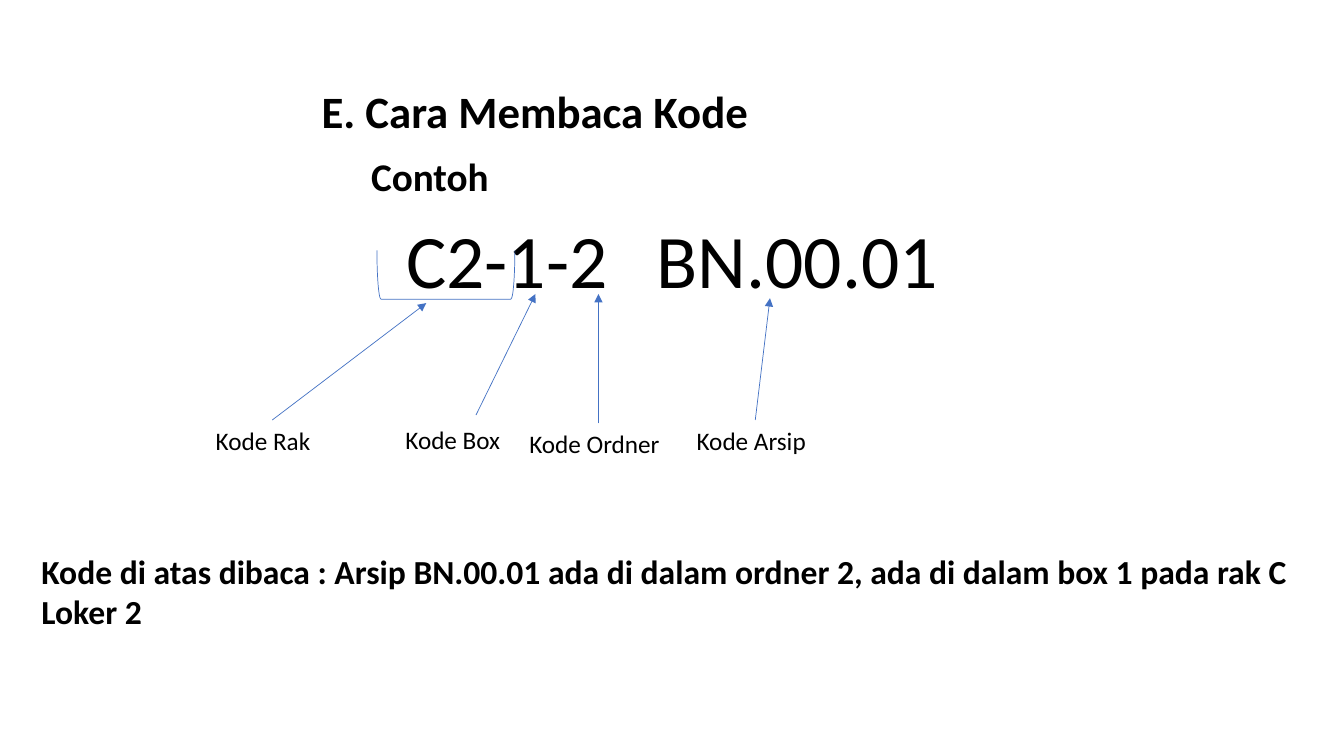
from pptx import Presentation
from pptx import util as u
from pptx.dml.color import RGBColor
from pptx.enum import shapes, text
from pptx.oxml.ns import qn
from lxml import etree

# Content: text, box (left, top, width, height), type role
TITLE = ("E. Cara Membaca Kode", (222.5, 56, 430, 46), "title")
PASSAGES = [
    ("Contoh", (258, 105, 191, 41), "subtitle"),
    ("Kode di atas dibaca : Arsip BN.00.01 ada di dalam ordner 2, "
     "ada di dalam box 1 pada rak C Loker 2", (22.5, 390, 914, 65.5), "reading"),
]
CODE = ("C2-1-2\tBN.00.01", (283, 148.5, 400, 73), "code")
CODE_TAB = 179
# Label, box, arrow start (None: middle of the label's top side), arrow tip
LABELS = [
    ("Kode Rak", (147, 300, 95, 29), None, (304.5, 216.5)),
    ("Kode Box", (282.5, 299.5, 82.5, 29), (340, 296.5), (382.5, 210)),
    ("Kode Ordner", (371, 302.5, 113, 29), None, (427.5, 210)),
    ("Kode Arsip", (490.5, 300, 98, 29), None, (550, 213)),
]
BRACKET = (301, 147, 35, 98.5)

THEME = {
    "font": "Calibri",
    "ink": RGBColor(0, 0, 0),
    "line": RGBColor(0x44, 0x72, 0xC4),
    "line_width": 0.5,
    "roles": {
        "title": {"size": u.Pt(32), "bold": True},
        "subtitle": {"size": u.Pt(28), "bold": True},
        "reading": {"size": u.Pt(24), "bold": True},
        "code": {"size": u.Pt(54), "bold": False},
        "label": {"size": u.Pt(18), "bold": False},
    },
}


def points(values):
    return [u.Pt(value) for value in values]


def set_attributes(target, values):
    for name, value in values.items():
        setattr(target, name, value)


def write(shape, words, role):
    frame = shape.text_frame
    set_attributes(frame, {"word_wrap": True,
                           "auto_size": text.MSO_AUTO_SIZE.NONE,
                           "vertical_anchor": text.MSO_ANCHOR.TOP})
    paragraph = frame.paragraphs[0]
    set_attributes(paragraph, {"alignment": text.PP_ALIGN.LEFT,
                               "line_spacing": 1.0, "space_before": u.Pt(0)})
    run = paragraph.add_run()
    run.text = words
    set_attributes(run.font, {"name": THEME["font"], **THEME["roles"][role]})
    run.font.color.rgb = THEME["ink"]
    return paragraph


def add_text(slide, words, box, role):
    shape = slide.shapes.add_textbox(*points(box))
    write(shape, words, role)
    return shape


def add_title(slide, words, box, role):
    title = slide.shapes.title
    set_attributes(title, dict(zip(("left", "top", "width", "height"), points(box))))
    write(title, words, role)


def add_tab_stop(paragraph, position):
    tabs = etree.SubElement(paragraph._p.get_or_add_pPr(), qn("a:tabLst"))
    etree.SubElement(tabs, qn("a:tab"), pos=str(u.Pt(position)), algn="l")


def style_line(shape):
    shape.line.color.rgb = THEME["line"]
    shape.line.width = u.Pt(THEME["line_width"])


def add_arrow(slide, label, start, tip):
    """Point from the label, or from a given start, to a part of the code."""
    begin = start or (0, 0)
    arrow = slide.shapes.add_connector(
        shapes.MSO_CONNECTOR.STRAIGHT, *points((*begin, *tip)))
    if start is None:
        arrow.begin_connect(label, 0)
    style_line(arrow)
    etree.SubElement(arrow.line._get_or_add_ln(), qn("a:tailEnd"), type="triangle")
    etree.SubElement(arrow._element.spPr, qn("a:effectLst"))


def add_bracket(slide):
    bracket = slide.shapes.add_shape(
        shapes.MSO_SHAPE.LEFT_BRACKET, *points(BRACKET))
    bracket.rotation = 270
    bracket.shadow.inherit = False
    bracket.fill.background()
    style_line(bracket)


def main():
    presentation = Presentation()
    set_attributes(presentation, {"slide_width": u.Pt(960), "slide_height": u.Pt(540)})
    slide = presentation.slides.add_slide(presentation.slide_layouts[5])
    add_title(slide, *TITLE)
    for passage in PASSAGES:
        add_text(slide, *passage)
    code = add_text(slide, *CODE)
    add_tab_stop(code.text_frame.paragraphs[0], CODE_TAB)
    for words, box, start, tip in LABELS:
        label = add_text(slide, words, box, "label")
        label.text_frame.word_wrap = False
        add_arrow(slide, label, start, tip)
    add_bracket(slide)
    presentation.save("out.pptx")


if __name__ == "__main__":
    main()
